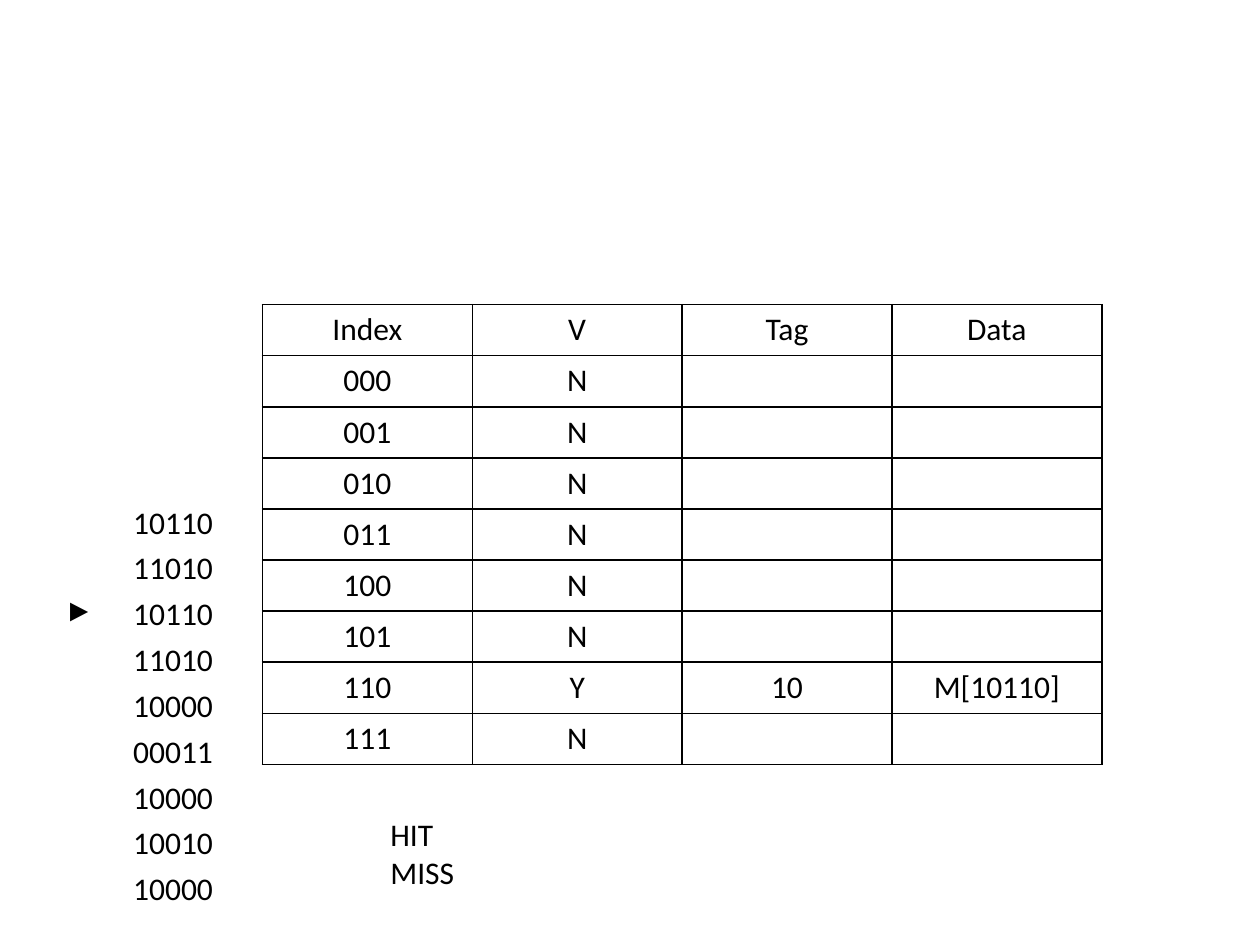
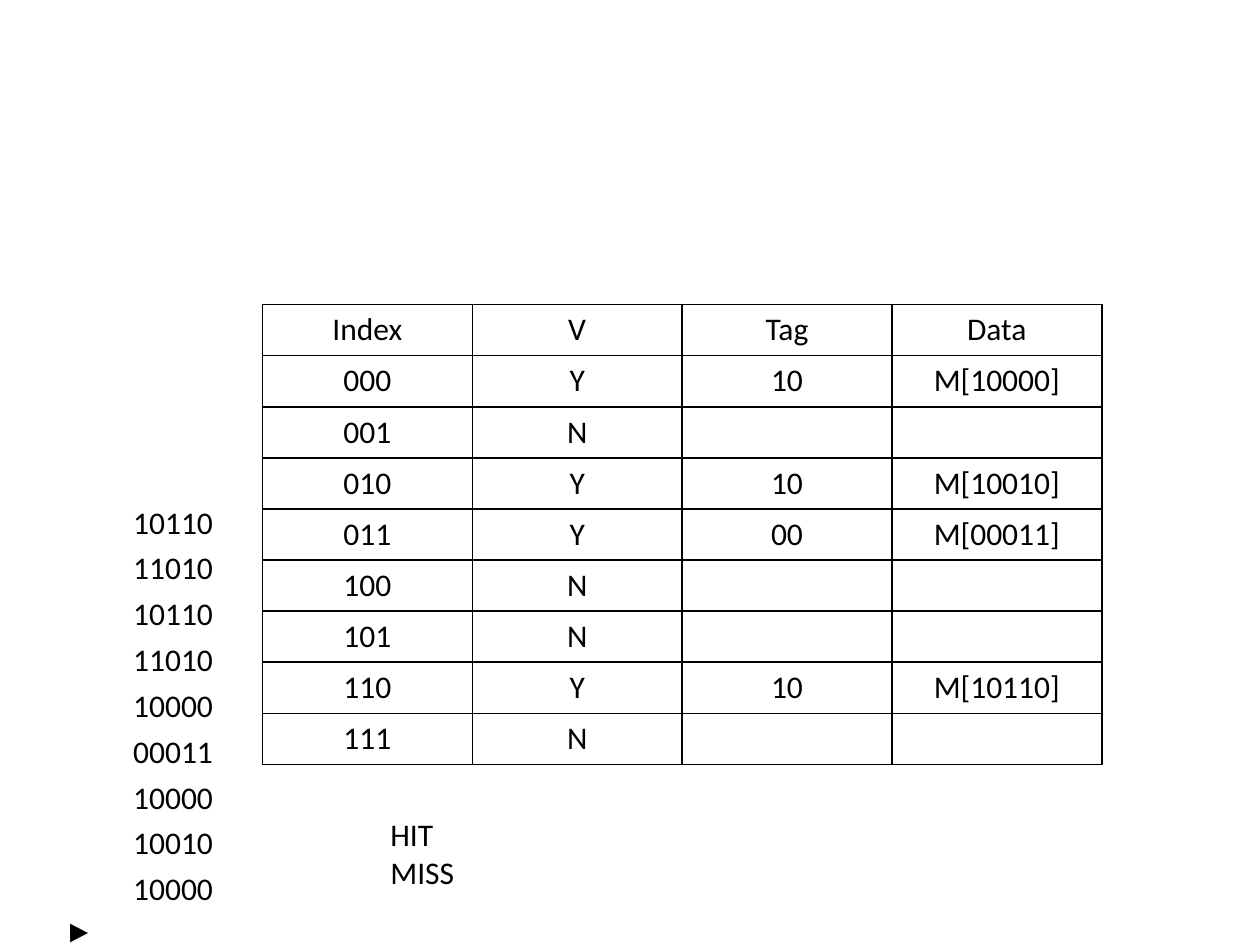
import dataclasses

import pptx
import pptx.dml.color
import pptx.enum.text
import pptx.oxml
import pptx.oxml.ns
import pptx.util

Cm = pptx.util.Cm
RGBColor = pptx.dml.color.RGBColor
CENTER = pptx.enum.text.PP_ALIGN.CENTER


@dataclasses.dataclass(frozen=True)
class Theme:
    ink: RGBColor = RGBColor(0, 0, 0)
    paper: RGBColor = RGBColor(255, 255, 255)
    font: str = "Calibri"
    marker_font: str = "Courier New"
    text_size: int = pptx.util.Pt(18)
    border_width: int = pptx.util.Pt(1)


THEME = Theme()
HEADINGS = ["Index", "V", "Tag", "Data"]
ADDRESSES = ["10110", "11010", "10110", "11010", "10000",
             "00011", "10000", "10010", "10000"]
MARKER = "►"


def style_paragraph(paragraph, font_name=THEME.font):
    font = paragraph.font
    font.name = font_name
    font.size = THEME.text_size
    font.color.rgb = THEME.ink
    # The marker's typeface differs from the table's, so its run names it too.
    if font_name != THEME.font:
        for run in paragraph.runs:
            run.font.name = font_name


def add_cell_borders(cell):
    properties = cell._tc.get_or_add_tcPr()
    for position, side in enumerate(("lnL", "lnR", "lnT", "lnB")):
        properties.insert(position, pptx.oxml.parse_xml(
            f'<a:{side} {pptx.oxml.ns.nsdecls("a")} w="{THEME.border_width}">'
            f'<a:solidFill><a:srgbClr val="{THEME.ink}"/></a:solidFill></a:{side}>'))


def add_plain_table(slide, rows, left, top, column_width, row_height):
    """Add an unbanded table of centred text and return it."""
    row_count, column_count = len(rows), len(rows[0])
    table = slide.shapes.add_table(
        row_count, column_count, left, top,
        column_width * column_count, row_height * row_count).table
    table.first_row = False
    table.horz_banding = False
    for column in table.columns:
        column.width = column_width
    for row, texts in zip(table.rows, rows):
        row.height = row_height
        for cell, text in zip(row.cells, texts):
            cell.fill.solid()
            cell.fill.fore_color.rgb = THEME.paper
            cell.text = text
            paragraph = cell.text_frame.paragraphs[0]
            paragraph.alignment = CENTER
            style_paragraph(
                paragraph, THEME.marker_font if text == MARKER else THEME.font)
    return table


def add_cache_table(slide, tags):
    """Show the eight cache lines; tags maps each valid index to its tag."""
    rows = [HEADINGS]
    for number in range(8):
        index = f"{number:03b}"
        if index in tags:
            rows.append([index, "Y", tags[index], f"M[{tags[index]}{index}]"])
        else:
            rows.append([index, "N", "", ""])
    table = add_plain_table(slide, rows, Cm(5.29), Cm(6.14), Cm(4.23), Cm(1.03))
    for cell in table.iter_cells():
        add_cell_borders(cell)


def add_address_list(slide, marked_row):
    """List the addresses with the marker; it may stand below the last one."""
    row_count = max(len(ADDRESSES), marked_row + 1)
    rows = [[MARKER if number == marked_row else "",
             ADDRESSES[number] if number < len(ADDRESSES) else ""]
            for number in range(row_count)]
    table = add_plain_table(slide, rows, Cm(0.64), Cm(10.16), Cm(1.9), Cm(0.924))
    for cell in table.iter_cells():
        cell.margin_left = cell.margin_right = 0
        cell.margin_top = cell.margin_bottom = 0


def add_outcomes(slide):
    text_box = slide.shapes.add_textbox(Cm(7.62), Cm(16.3), Cm(1.8), Cm(1.8))
    frame = text_box.text_frame
    frame.word_wrap = False
    frame.auto_size = pptx.enum.text.MSO_AUTO_SIZE.SHAPE_TO_FIT_TEXT
    frame.text = "HIT\nMISS"
    for paragraph in frame.paragraphs:
        style_paragraph(paragraph)


def add_cache_slide(presentation, tags, marked_row):
    slide = presentation.slides.add_slide(presentation.slide_layouts[6])
    add_cache_table(slide, tags)
    add_address_list(slide, marked_row)
    add_outcomes(slide)


def main():
    presentation = pptx.Presentation()
    presentation.slide_width = Cm(25.4)
    presentation.slide_height = Cm(19.05)
    add_cache_slide(presentation, {"110": "10"}, marked_row=2)
    add_cache_slide(
        presentation,
        {"000": "10", "010": "10", "011": "00", "110": "10"},
        marked_row=len(ADDRESSES))
    presentation.save("out.pptx")


if __name__ == "__main__":
    main()
